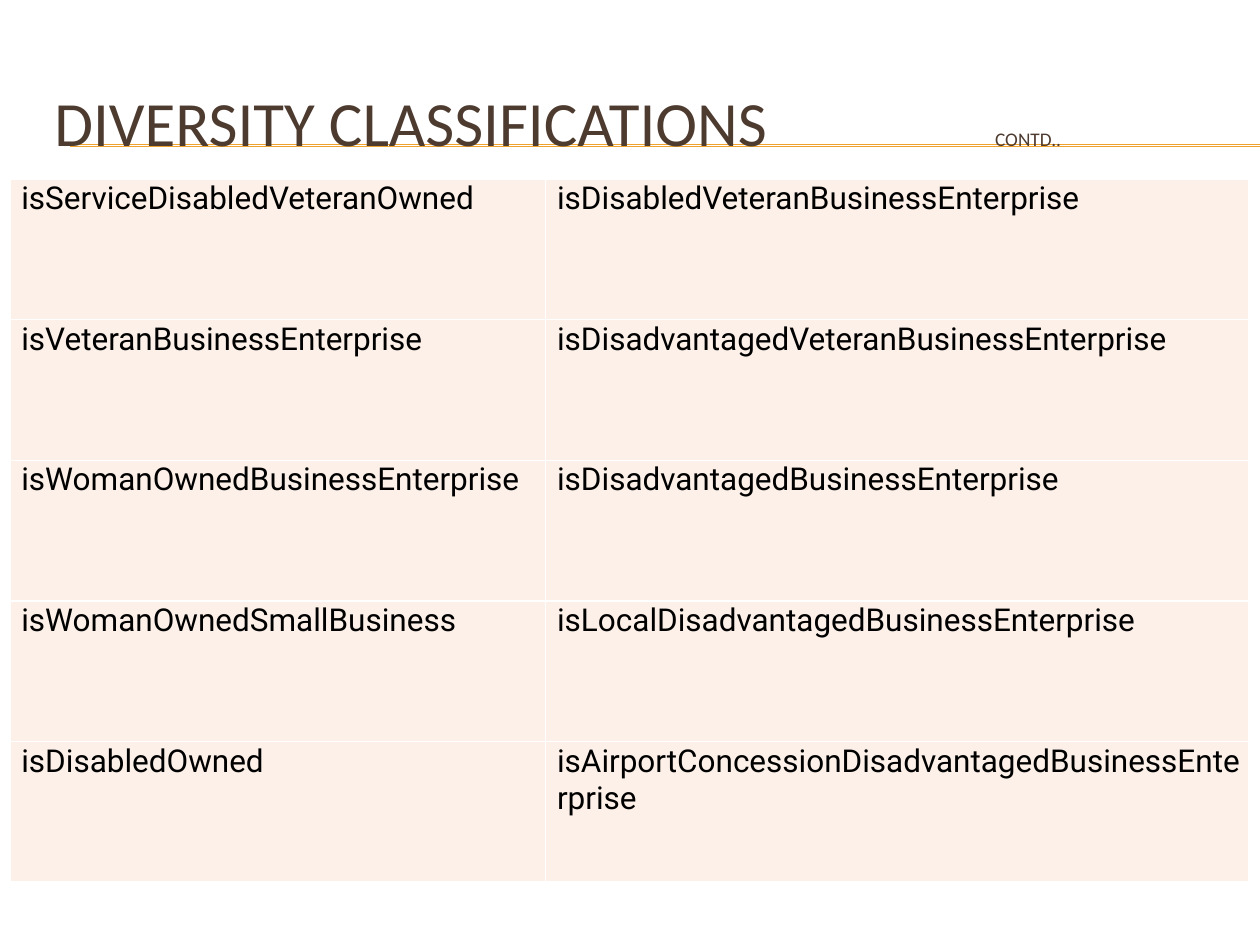
from dataclasses import dataclass

from lxml import etree
from pptx import Presentation
from pptx.dml.color import RGBColor
from pptx.enum.shapes import MSO_CONNECTOR
from pptx.enum.text import MSO_ANCHOR, MSO_AUTO_SIZE, PP_ALIGN
from pptx.oxml.ns import qn
from pptx.util import Cm, Pt

STRAIGHT = MSO_CONNECTOR.STRAIGHT
MIDDLE, TOP = MSO_ANCHOR.MIDDLE, MSO_ANCHOR.TOP
LEFT = PP_ALIGN.LEFT
NO_FIT = MSO_AUTO_SIZE.NONE


@dataclass(frozen=True)
class Theme:
    """Colours, fonts and type sizes of the slide."""
    rule: str = "F0A22E"
    title: str = "4E3B30"
    text: str = "000000"
    cell: str = "FCF0E8"
    border: str = "FFFFFF"
    title_font: str = "Calibri"
    body_font: str = "Roboto"
    title_size: int = 36
    note_size: int = 11
    body_size: int = 18


@dataclass(frozen=True)
class Box:
    """A region of the slide in centimetres."""
    x: float
    y: float
    w: float
    h: float


THEME = Theme()
ROWS = [
    ("isServiceDisabledVeteranOwned", "isDisabledVeteranBusinessEnterprise"),
    ("isVeteranBusinessEnterprise", "isDisadvantagedVeteranBusinessEnterprise"),
    ("isWomanOwnedBusinessEnterprise", "isDisadvantagedBusinessEnterprise"),
    ("isWomanOwnedSmallBusiness", "isLocalDisadvantagedBusinessEnterprise"),
    ("isDisabledOwned", "isAirportConcessionDisadvantagedBusinessEnterprise"),
]


def set_font(font, name, color):
    """Set the typeface and colour of a font."""
    font.name = name
    font.color.rgb = RGBColor.from_string(color)


def add_rules(s, box):
    """Draw the header rules behind the other parts of the slide."""
    for dy in (0, 0, box.h):
        y = Cm(box.y + dy)
        line = s.shapes.add_connector(STRAIGHT, Cm(box.x), y, Cm(box.x + box.w), y)
        line.line.color.rgb = RGBColor.from_string(THEME.rule)
        line.line.width = Pt(0.75)
        etree.SubElement(line._element.spPr, qn("a:effectLst"))
        s.shapes._spTree.insert(2, line._element)


def add_title(s, box, title, note):
    """Fill the title placeholder, with a small note at a tab stop."""
    sp = s.shapes.title
    sp.left, sp.top, sp.width, sp.height = Cm(box.x), Cm(box.y), Cm(box.w), Cm(box.h)
    tf = sp.text_frame
    tf.auto_size = NO_FIT
    tf.word_wrap = True
    tf.vertical_anchor = MIDDLE
    p = tf.paragraphs[0]
    p.alignment = LEFT
    tabs = etree.SubElement(p._p.get_or_add_pPr(), qn("a:tabLst"))
    etree.SubElement(tabs, qn("a:tab"), pos=str(Cm(box.w * 0.786)), algn="l")
    set_font(p.font, THEME.title_font, THEME.title)
    for text, size in ((title + "\t", THEME.title_size), (note, THEME.note_size)):
        r = p.add_run()
        r.text = text
        r.font.size = Pt(size)
        set_font(r.font, THEME.title_font, THEME.title)


def add_borders(cell):
    """Give a cell solid borders on its four sides."""
    tc_pr = cell._tc.get_or_add_tcPr()
    for side in ("lnL", "lnR", "lnT", "lnB"):
        ln = etree.SubElement(tc_pr, qn(f"a:{side}"), w=str(Pt(1)))
        fill = etree.SubElement(ln, qn("a:solidFill"))
        etree.SubElement(fill, qn("a:srgbClr"), val=THEME.border)


def fill_cell(cell, text):
    """Write and format one table cell."""
    add_borders(cell)
    cell.fill.solid()
    cell.fill.fore_color.rgb = RGBColor.from_string(THEME.cell)
    cell.margin_left, cell.margin_top = Cm(0.23), Cm(0.03)
    cell.margin_right, cell.margin_bottom = Cm(0.03), Cm(0)
    cell.vertical_anchor = TOP
    p = cell.text_frame.paragraphs[0]
    r = p.add_run()
    r.text = text
    for font in (p.font, r.font):
        font.size = Pt(THEME.body_size)
        set_font(font, THEME.body_font, THEME.text)


def add_classifications(s, box, rows, first_width):
    """Add the two-column table with rows of equal height."""
    frame = s.shapes.add_table(len(rows), 2, Cm(box.x), Cm(box.y), Cm(box.w), Cm(box.h))
    table = frame.table
    table.first_row = table.horz_banding = False
    table.columns[0].width = Cm(first_width)
    table.columns[1].width = Cm(box.w - first_width)
    for i, texts in enumerate(rows):
        table.rows[i].height = Cm(box.h / len(rows))
        for j, text in enumerate(texts):
            fill_cell(table.cell(i, j), text)


def main():
    """Build and save the slide."""
    prs = Presentation()
    prs.slide_width, prs.slide_height = Cm(25.4), Cm(19.05)
    s = prs.slides.add_slide(prs.slide_layouts[5])
    add_rules(s, Box(1.42, 2.92, 23.98, 0.03))
    add_title(s, Box(0.84, 1.27, 24.13, 2.34), "DIVERSITY CLASSIFICATIONS", "CONTD..")
    add_classifications(s, Box(0.2, 3.61, 24.97, 14.17), ROWS, 10.8)
    prs.save("out.pptx")


main()
